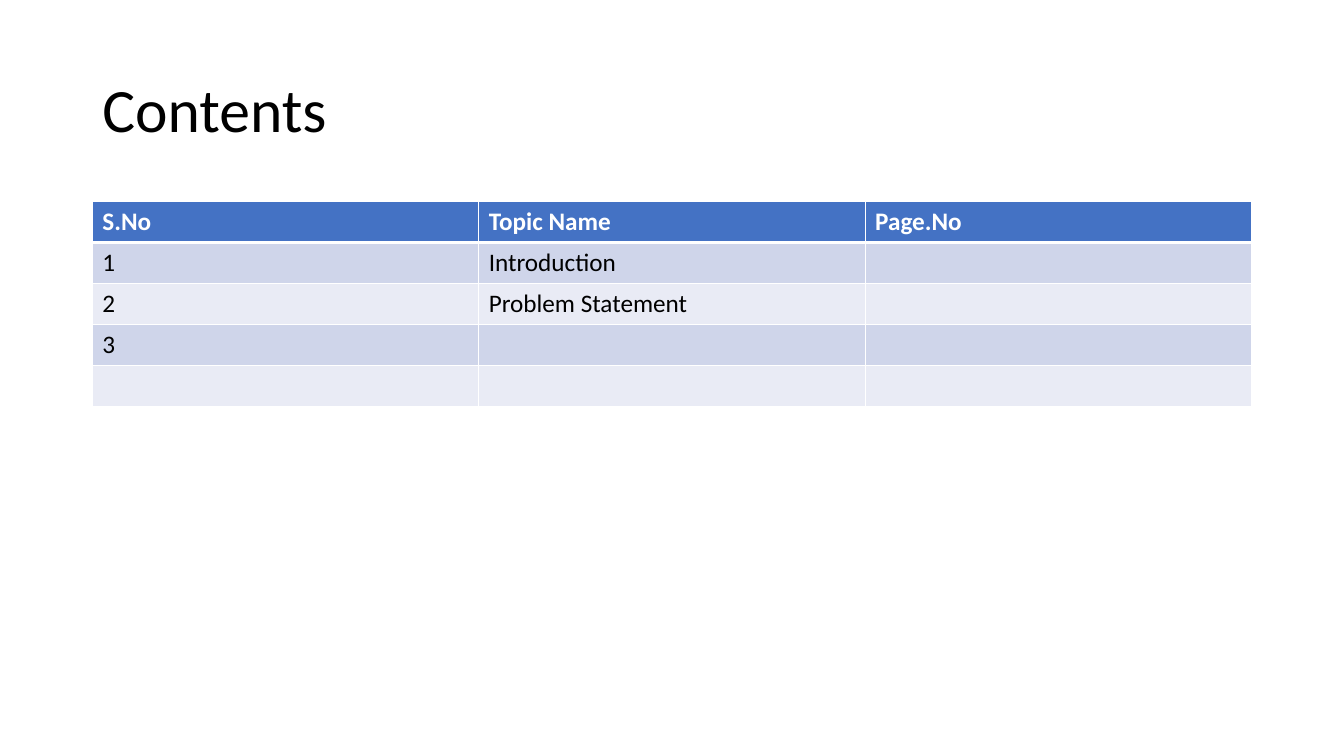
from dataclasses import dataclass

from lxml.etree import SubElement
from pptx import Presentation
from pptx.dml.color import RGBColor
from pptx.enum.text import MSO_ANCHOR
from pptx.oxml.ns import qn
from pptx.slide import Slide
from pptx.table import _Cell
from pptx.text.text import TextFrame
from pptx.util import Emu, Pt

EMU_PER_PX = 9525
FONT = "Calibri"
WHITE, BLACK = "FFFFFF", "000000"
COLUMN_WIDTH, ROW_HEIGHT = 368, 39
THIN, THICK = 1, 3


@dataclass
class TableRow:
    texts: tuple[str, str, str]
    fill: str
    color: str = BLACK
    bold: bool = False
    top: int = THIN
    bottom: int = THIN


ROWS = [
    TableRow(("S.No", "Topic Name", "Page.No"), "4472C4", WHITE, bold=True, bottom=THICK),
    TableRow(("1", "Introduction", ""), "CFD5EA", top=THICK),
    TableRow(("2", "Problem Statement", ""), "E9EBF5"),
    TableRow(("3", "", ""), "CFD5EA"),
    TableRow(("", "", ""), "E9EBF5"),
]


def px(length: int) -> Emu:
    return Emu(length * EMU_PER_PX)


def rgb(color: str) -> RGBColor:
    return RGBColor.from_string(color)


def write(frame: TextFrame, text: str, *, size: int, color: str = BLACK,
          bold: bool = False, line_spacing: float = 1.0) -> None:
    para = frame.paragraphs[0]
    para.line_spacing = line_spacing
    para.font.size = Pt(size)
    if not text:
        return
    span = para.add_run()
    span.text = text
    span.font.name = FONT
    span.font.size = Pt(size)
    span.font.bold = bold
    span.font.color.rgb = rgb(color)


def add_borders(cell: _Cell, top: int, bottom: int) -> None:
    properties = cell._tc.get_or_add_tcPr()
    sides = {"lnL": THIN, "lnR": THIN, "lnT": top, "lnB": bottom}
    for side, width in sides.items():
        line = SubElement(properties, qn(f"a:{side}"), w=str(Pt(width)))
        fill = SubElement(line, qn("a:solidFill"))
        SubElement(fill, qn("a:srgbClr"), val=WHITE)


def draw_title(page: Slide, text: str) -> None:
    box = page.shapes.add_textbox(px(88), px(38), px(1104), px(139))
    frame = box.text_frame
    frame.word_wrap = True
    frame.vertical_anchor = MSO_ANCHOR.MIDDLE
    write(frame, text, size=44, line_spacing=0.9)


def draw_table(page: Slide, rows: list[TableRow]) -> None:
    columns = len(rows[0].texts)
    table = page.shapes.add_table(
        len(rows), columns, px(88), px(192),
        px(columns * COLUMN_WIDTH), px(len(rows) * ROW_HEIGHT),
    ).table
    for row_index, row in enumerate(rows):
        for column_index, text in enumerate(row.texts):
            cell = table.cell(row_index, column_index)
            # Borders come before the fill in the cell properties
            add_borders(cell, row.top, row.bottom)
            cell.fill.solid()
            cell.fill.fore_color.rgb = rgb(row.fill)
            write(cell.text_frame, text, size=18, color=row.color, bold=row.bold)


def main() -> None:
    deck = Presentation()
    deck.slide_width, deck.slide_height = px(1280), px(720)
    page = deck.slides.add_slide(deck.slide_layouts[6])

    # Heading
    draw_title(page, "Contents")

    # Table of topics
    draw_table(page, ROWS)

    deck.save("out.pptx")


if __name__ == "__main__":
    main()
